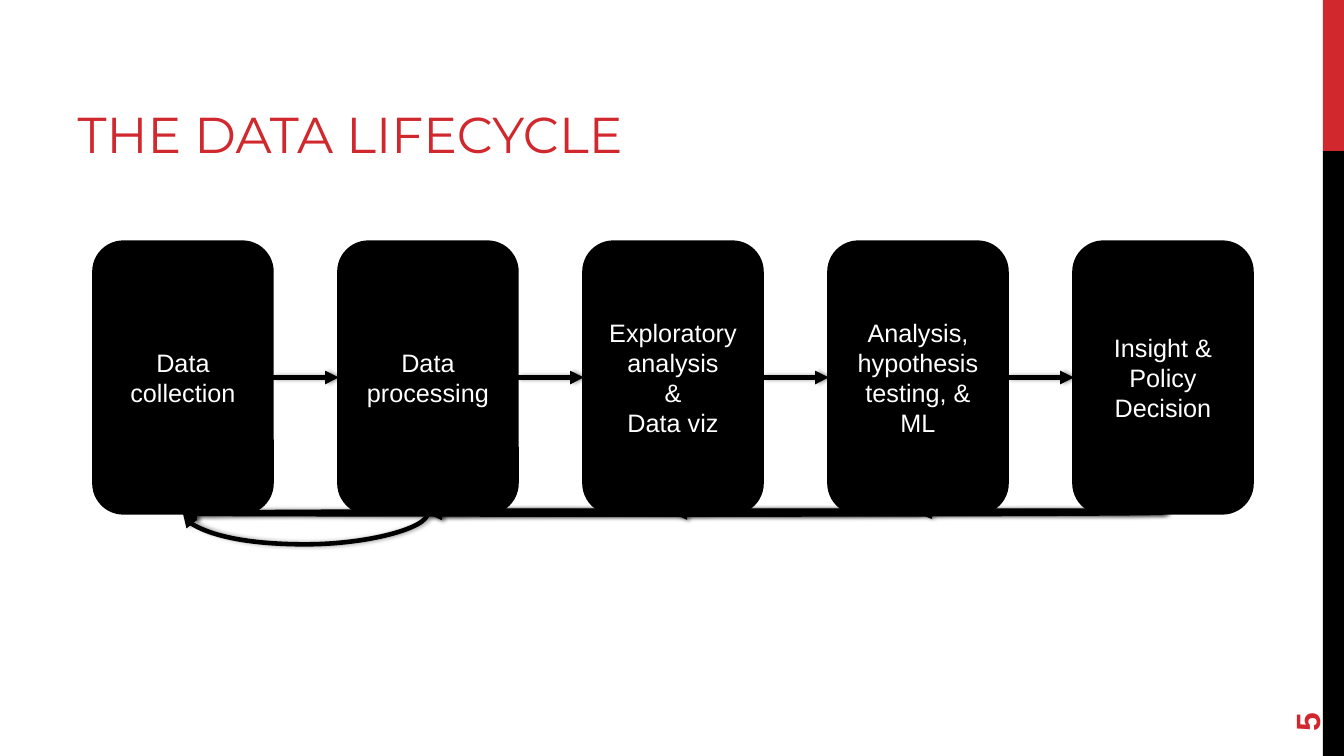
import pptx
import pptx.util
import pptx.dml.color
import pptx.enum.dml
import pptx.enum.shapes
import pptx.enum.text
import pptx.oxml
import pptx.oxml.ns
from dataclasses import dataclass

Inches = pptx.util.Inches
Pt = pptx.util.Pt
RGBColor = pptx.dml.color.RGBColor
Shape = pptx.enum.shapes.MSO_SHAPE
Connector = pptx.enum.shapes.MSO_CONNECTOR
Anchor = pptx.enum.text.MSO_ANCHOR
Align = pptx.enum.text.PP_ALIGN
qn = pptx.oxml.ns.qn


@dataclass
class Theme:
    red: RGBColor = RGBColor(0xD1, 0x28, 0x2E)
    black: RGBColor = RGBColor(0, 0, 0)
    white: RGBColor = RGBColor(255, 255, 255)
    heading: str = "Montserrat"
    body: str = "Arial"
    title_size: int = 36
    number_size: int = 24
    step_size: int = 18


theme = Theme()


def write(shape, text, font, size, color, align, anchor, bold=False):
    frame = shape.text_frame
    frame.text = text
    frame.word_wrap = True
    frame.auto_size = pptx.enum.text.MSO_AUTO_SIZE.NONE
    frame.vertical_anchor = anchor
    for para in frame.paragraphs:
        para.alignment = align
        for span in para.runs:
            span.font.name = font
            span.font.size = Pt(size)
            span.font.bold = bold
            span.font.color.rgb = color


def link(kind, start, start_site, end, end_site):
    arrow = page.shapes.add_connector(kind, 0, 0, 0, 0)
    arrow.begin_connect(start, start_site)
    arrow.end_connect(end, end_site)
    arrow.line.color.rgb = theme.black
    arrow.line.width = Pt(3.25)
    namespace = pptx.oxml.ns.nsdecls("a")
    arrow.line._get_or_add_ln().append(
        pptx.oxml.parse_xml(f'<a:tailEnd {namespace} type="triangle"/>'))
    arrow._element.spPr.append(pptx.oxml.parse_xml(
        f'<a:effectLst {namespace}><a:outerShdw blurRad="{Pt(3.1)}" dist="{Pt(1.8)}" '
        'dir="0" rotWithShape="0"><a:srgbClr val="000000"><a:alpha val="40000"/>'
        '</a:srgbClr></a:outerShdw></a:effectLst>'))
    return arrow


deck = pptx.Presentation()
deck.slide_width = Inches(13.33)
deck.slide_height = Inches(7.5)
page = deck.slides.add_slide(deck.slide_layouts[5])

for top, height, color in ((0, 1.5, theme.red), (1.5, 6, theme.black)):
    band = page.shapes.add_shape(
        Shape.RECTANGLE, Inches(13.12), Inches(top), Inches(0.21), Inches(height))
    band.shadow.inherit = False
    band.fill.solid()
    band.fill.fore_color.rgb = color
    band.line.fill.background()

title = page.shapes.title
title.left, title.top = Inches(0.67), Inches(0.17)
title.width, title.height = Inches(8.44), Inches(1.5)
write(title, "THE DATA LIFECYCLE", theme.heading, theme.title_size, theme.red,
      Align.LEFT, Anchor.BOTTOM)

number = page.shapes.add_textbox(Inches(12.24), Inches(6.37), Inches(1.44), Inches(0.53))
number.rotation = 270
write(number, "5", theme.body, theme.number_size, theme.red,
      Align.LEFT, Anchor.MIDDLE, bold=True)

steps = [
    "Data collection",
    "Data processing",
    "Exploratory analysis\n&\nData viz",
    "Analysis, hypothesis testing, & ML",
    "Insight & Policy Decision",
]
first_left, step_top, step_width, step_height = 0.93, 2.4, 1.77, 2.69
pitch = 2.43
bottom = step_top + step_height
bottom_site, left_site, right_site = 2, 1, 3
curve_width = 0.01
first_sag = 0.32
sag_by_distance = {1: -0.02, 2: -0.01, 3: 0, 4: 0.02}

boxes = []
for index, text in enumerate(steps):
    box = page.shapes.add_shape(
        Shape.ROUNDED_RECTANGLE, Inches(first_left + index * pitch), Inches(step_top),
        Inches(step_width), Inches(step_height))
    box.shadow.inherit = False
    box.fill.solid()
    box.fill.fore_color.rgb = theme.black
    box.line.color.rgb = theme.black
    box.line.width = Pt(2.25)
    write(box, text, theme.body, theme.step_size, theme.white, Align.CENTER, Anchor.MIDDLE)
    if boxes:
        link(Connector.STRAIGHT, boxes[-1], right_site, box, left_site)

    for target in reversed(range(index)):
        distance = index - target
        sag = first_sag if index == 1 else sag_by_distance[distance]
        curve = link(Connector.CURVE, box, bottom_site, boxes[target], bottom_site)
        reach = distance * pitch
        center = first_left + step_width / 2 + (index + target) / 2 * pitch
        curve.left, curve.top = Inches(center - curve_width / 2), Inches(bottom - reach / 2)
        curve.width, curve.height = Inches(curve_width), Inches(reach)
        frame = curve._element.spPr.find(qn("a:xfrm"))
        frame.attrib.pop("flipH", None)
        frame.attrib.pop("flipV", None)
        frame.set("rot", "5400000")
        guides = curve._element.spPr.find(qn("a:prstGeom")).get_or_add_avLst()
        guide = pptx.oxml.parse_xml(
            f'<a:gd {pptx.oxml.ns.nsdecls("a")} name="adj1" '
            f'fmla="val {round(sag / curve_width * 100000)}"/>')
        guides.append(guide)
    boxes.append(box)

deck.save("out.pptx")
